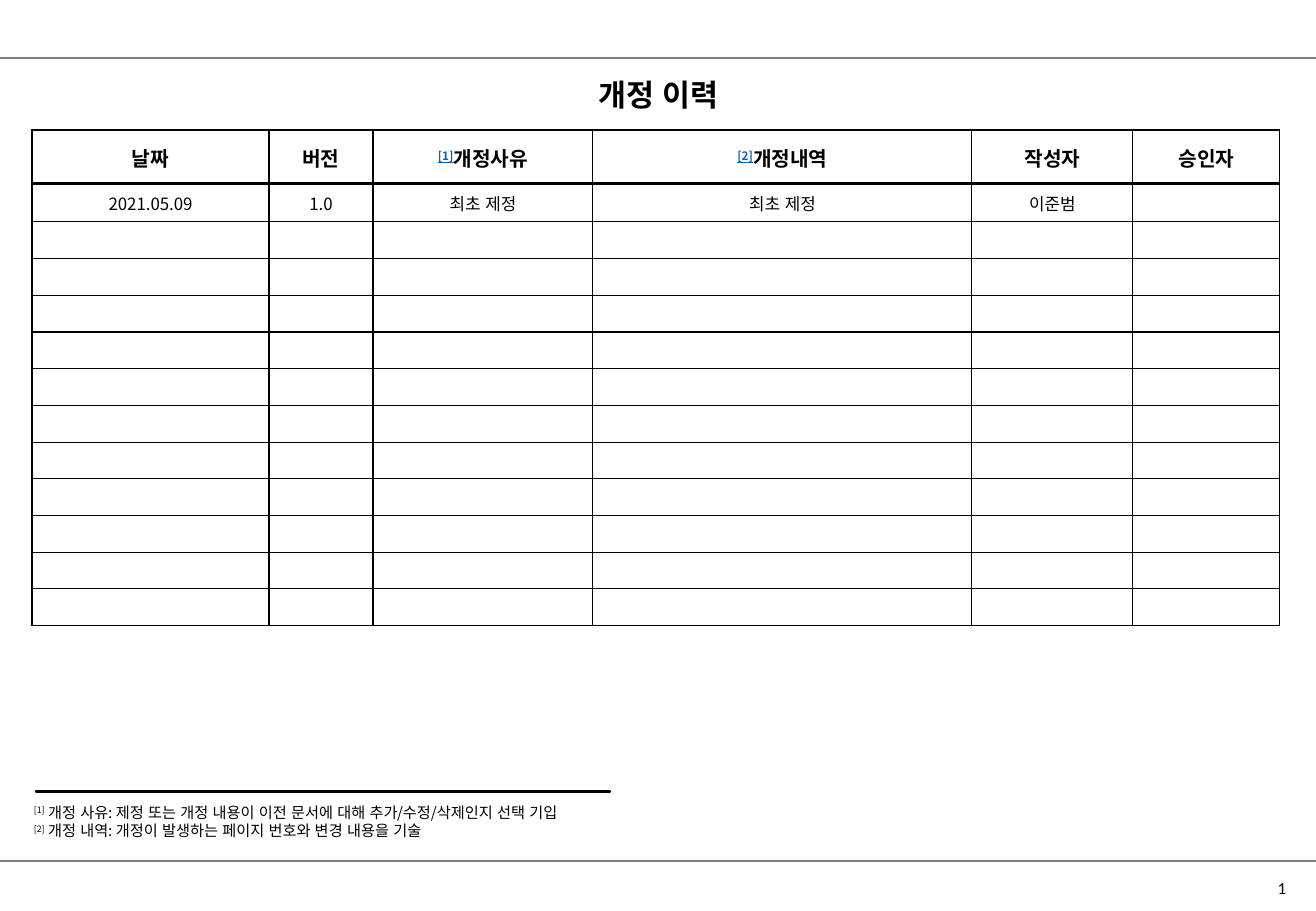
from lxml.etree import SubElement
from pptx import Presentation
from pptx.dml.color import RGBColor
from pptx.enum.lang import MSO_LANGUAGE_ID
from pptx.enum.shapes import MSO_CONNECTOR, MSO_SHAPE
from pptx.enum.text import MSO_ANCHOR, PP_ALIGN
from pptx.oxml.ns import qn
from pptx.util import Emu, Pt

EMU_PER_PX = 7526
SLIDE_WIDTH, SLIDE_HEIGHT = 1316, 911
COLORS = {"ink": "000000", "paper": "FFFFFF", "rule": "7F7F7F", "link": "0563C1"}
KOREAN_FONT = "Noto Sans CJK KR"

TITLE = {"size": Pt(18), "bold": True, "name": KOREAN_FONT}
HEADING = {"size": Pt(12), "bold": True, "name": KOREAN_FONT}
ENTRY = {"size": Pt(10), "bold": False, "name": KOREAN_FONT}
FOOTNOTE = {"size": Pt(9), "name": KOREAN_FONT}
PAGE_NUMBER = {"size": Pt(10), "name": "Calibri"}

COLUMN_WIDTHS = [237, 104, 220, 379, 161, 147]
HEADING_HEIGHT, ENTRY_HEIGHT = 54, 38
BLANK_ROWS, BLANK_ROWS_HEIGHT = 11, 404
HEADINGS = [("", "날짜"), ("", "버전"), ("[1]", "개정사유"),
            ("[2]", "개정내역"), ("", "작성자"), ("", "승인자")]
FIRST_REVISION = ["2021.05.09", "1.0", "최초 제정", "최초 제정", "이준범", ""]
FOOTNOTES = [
    ("[1]", " 개정 사유: 제정 또는 개정 내용이 이전 문서에 대해 추가/수정/삭제인지 선택 기입"),
    ("[2]", " 개정 내역: 개정이 발생하는 페이지 번호와 변경 내용을 기술"),
]


def px(length):
    return Emu(length * EMU_PER_PX)


def rgb(name):
    return RGBColor.from_string(COLORS[name])


def apply_format(target, values):
    for attribute, value in values.items():
        setattr(target, attribute, value)


def add_run(paragraph, text, style, color="ink", superscript=False):
    run = paragraph.add_run()
    run.text = text
    apply_format(run.font, {**style, "language_id": MSO_LANGUAGE_ID.KOREAN})
    run.font.color.rgb = rgb(color)
    properties = run.font._element
    SubElement(properties, qn("a:ea")).set("typeface", style["name"])
    if superscript:
        properties.set("baseline", "30000")
    return run


def add_marked_text(paragraph, mark, text, style, linked=False):
    """Write text after an optional raised footnote mark."""
    if mark:
        mark_run = add_run(paragraph, mark, style, "link" if linked else "ink", True)
        if linked:
            mark_run.font.underline = True
    add_run(paragraph, text, style)


def add_text_box(slide, box, lines, style, align=PP_ALIGN.LEFT, anchor=MSO_ANCHOR.MIDDLE):
    """Add one paragraph for each (mark, text) pair in lines."""
    frame = slide.shapes.add_textbox(*map(px, box)).text_frame
    apply_format(frame, {"word_wrap": True, "vertical_anchor": anchor})
    for index, (mark, text) in enumerate(lines):
        paragraph = frame.add_paragraph() if index else frame.paragraphs[0]
        paragraph.alignment = align
        add_marked_text(paragraph, mark, text, style)


def add_page_rule(slide, y):
    rule = slide.shapes.add_connector(
        MSO_CONNECTOR.STRAIGHT, 0, px(y), px(SLIDE_WIDTH), px(y))
    rule.line.color.rgb = rgb("rule")
    rule.line.width = Pt(0.75)
    SubElement(rule._element.spPr, qn("a:effectLst"))


def add_footnote_bar(slide, box):
    bar = slide.shapes.add_shape(MSO_SHAPE.RECTANGLE, *map(px, box))
    bar.shadow.inherit = False
    bar.fill.solid()
    bar.fill.fore_color.rgb = rgb("ink")
    bar.line.color.rgb = rgb("ink")
    bar.line.width = Pt(0.75)


def set_borders(cell, widths):
    """Draw the cell's sides, which must come before its fill."""
    properties = cell._tc.get_or_add_tcPr()
    for side, width in widths.items():
        border = SubElement(properties, qn(f"a:ln{side}"), w=str(Pt(width)))
        fill = SubElement(border, qn("a:solidFill"))
        SubElement(fill, qn("a:srgbClr"), val=COLORS["ink"])


def format_cell(cell, row):
    apply_format(cell, {
        "margin_left": px(1), "margin_top": px(1), "margin_right": px(1),
        "margin_bottom": 0, "vertical_anchor": MSO_ANCHOR.MIDDLE,
    })
    set_borders(cell, {"L": 0.75, "R": 0.75,
                       "T": 2 if row == 1 else 0.75,
                       "B": 2 if row == 0 else 0.75})
    cell.fill.solid()
    cell.fill.fore_color.rgb = rgb("paper")


def add_revision_table(slide, left, top):
    row_heights = [px(HEADING_HEIGHT), px(ENTRY_HEIGHT)]
    row_heights += [px(BLANK_ROWS_HEIGHT) // BLANK_ROWS] * BLANK_ROWS
    table = slide.shapes.add_table(
        len(row_heights), len(COLUMN_WIDTHS), px(left), px(top),
        px(sum(COLUMN_WIDTHS)), sum(row_heights)).table
    apply_format(table, {"first_row": False, "horz_banding": False})
    for column, width in zip(table.columns, COLUMN_WIDTHS):
        column.width = px(width)

    entries = [("", text) for text in FIRST_REVISION]
    blanks = [("", "")] * len(COLUMN_WIDTHS)
    contents = [HEADINGS, entries] + [blanks] * BLANK_ROWS
    for row, (height, texts) in enumerate(zip(row_heights, contents)):
        table.rows[row].height = height
        style = ENTRY if row else HEADING
        for column, (mark, text) in enumerate(texts):
            cell = table.cell(row, column)
            format_cell(cell, row)
            paragraph = cell.text_frame.paragraphs[0]
            paragraph.alignment = PP_ALIGN.CENTER
            if text:
                add_marked_text(paragraph, mark, text, style, linked=True)
            else:
                SubElement(paragraph._p, qn("a:endParaRPr"), sz="1000")


def main():
    deck = Presentation()
    deck.slide_width, deck.slide_height = px(SLIDE_WIDTH), px(SLIDE_HEIGHT)
    slide = deck.slides.add_slide(deck.slide_layouts[6])
    for y in (861, 58):
        add_page_rule(slide, y)
    add_text_box(slide, (1, 70, 1315, 49), [("", "개정 이력")], TITLE,
                 PP_ALIGN.CENTER, MSO_ANCHOR.TOP)
    add_revision_table(slide, 32, 130)
    add_footnote_bar(slide, (36, 791, 574, 1))
    add_text_box(slide, (22, 797, 606, 49), FOOTNOTES, FOOTNOTE)
    add_text_box(slide, (1248, 873, 68, 30), [("", "1")], PAGE_NUMBER, PP_ALIGN.CENTER)
    deck.save("out.pptx")


if __name__ == "__main__":
    main()
